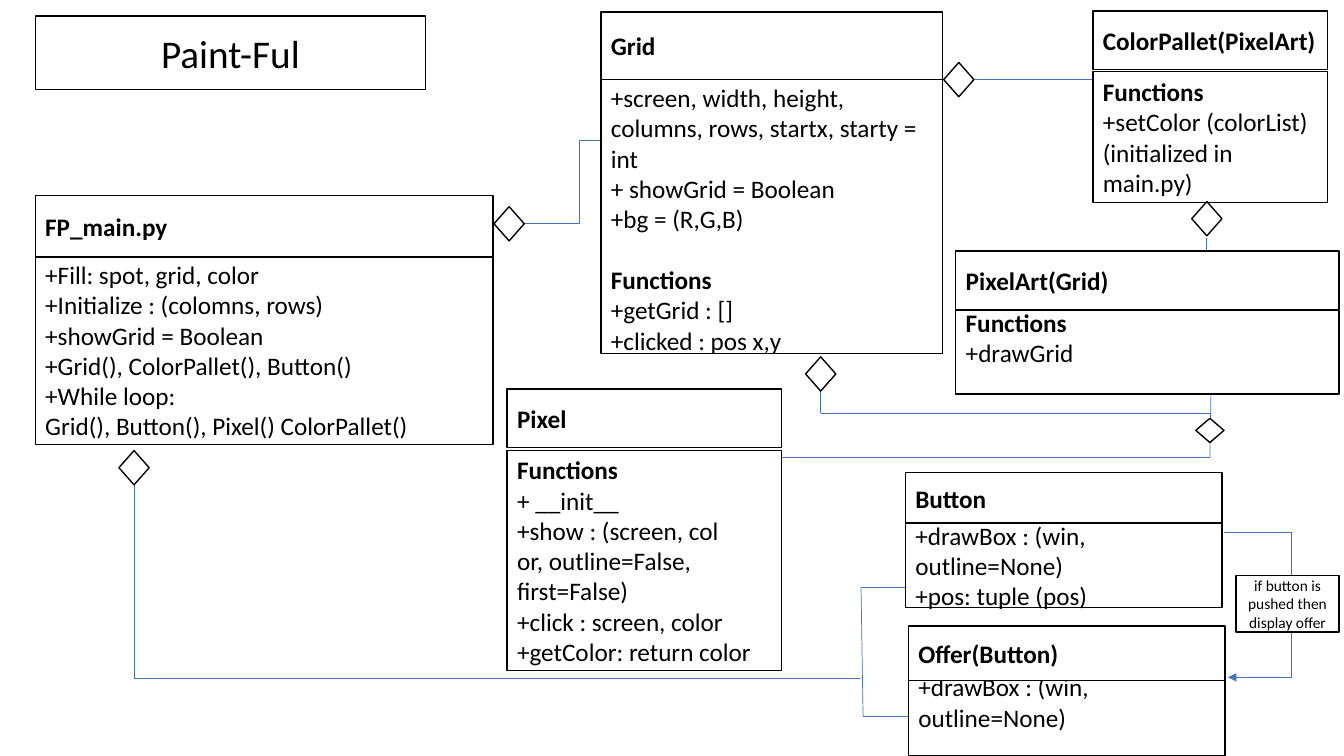
from lxml import etree
from pptx import Presentation
from pptx import util as u
from pptx.dml import color
from pptx.enum import shapes, text
from pptx.oxml import ns

COLORS = {"paper": "FFFFFF", "ink": "000000", "link": "4472C4"}
FONT = "Calibri"
BLANK_LINE = 0.3


def rgb(name):
    return color.RGBColor.from_string(COLORS[name])


def write(shape, lines, size=18, bold=False, align=text.PP_ALIGN.LEFT,
          blank_top=0, blank_bottom=0, gaps=()):
    """Fill a shape with lines; "Functions" is always a bold heading."""
    frame = shape.text_frame
    frame.word_wrap = True
    frame.auto_size = text.MSO_AUTO_SIZE.NONE
    frame.vertical_anchor = text.MSO_ANCHOR.MIDDLE
    frame.margin_left = frame.margin_right = u.Inches(0.1)
    frame.margin_top = u.Inches(0.05 + blank_top * BLANK_LINE)
    frame.margin_bottom = u.Inches(0.05 + blank_bottom * BLANK_LINE)
    for index, line in enumerate(lines):
        paragraph = frame.add_paragraph() if index else frame.paragraphs[0]
        paragraph.alignment = align
        paragraph.line_spacing = 1.0
        paragraph.space_before = u.Pt(22 if line in gaps else 0)
        run = paragraph.add_run()
        run.text = line
        run.font.name = FONT
        run.font.size = u.Pt(size)
        run.font.bold = bold or line == "Functions"
        run.font.color.rgb = rgb("ink")


class Diagram:
    def __init__(self, presentation):
        self.slide = presentation.slides.add_slide(presentation.slide_layouts[5])
        self.line_width = u.Pt(1)
        self.link_width = u.Pt(0.5)

    def outline(self, shape):
        shape.fill.solid()
        shape.fill.fore_color.rgb = rgb("paper")
        shape.line.color.rgb = rgb("ink")
        shape.line.width = self.line_width

    def title(self, left, top, width, height, words):
        shape = self.slide.shapes.title
        shape.left, shape.top = u.Inches(left), u.Inches(top)
        shape.width, shape.height = u.Inches(width), u.Inches(height)
        self.outline(shape)
        write(shape, [words], size=28, align=text.PP_ALIGN.CENTER)

    def shape(self, kind, left, top, width, height):
        shape = self.slide.shapes.add_shape(
            kind, u.Inches(left), u.Inches(top), u.Inches(width), u.Inches(height))
        shape.shadow.inherit = False
        self.outline(shape)
        return shape

    def box(self, left, top, width, height, lines, **style):
        shape = self.shape(shapes.MSO_SHAPE.RECTANGLE, left, top, width, height)
        write(shape, lines, **style)

    def class_box(self, name, left, width, header, body, lines, **style):
        """header and body are (top, height) pairs."""
        self.box(left, body[0], width, body[1], lines, **style)
        self.box(left, header[0], width, header[1], [name], bold=True)

    def diamond(self, left, top, width=0.3, height=0.34):
        self.shape(shapes.MSO_SHAPE.DIAMOND, left, top, width, height)

    def link(self, *points, arrow=False):
        """Join successive points; the last segment may carry an arrowhead."""
        for start, end in zip(points, points[1:]):
            connector = self.slide.shapes.add_connector(
                shapes.MSO_CONNECTOR.STRAIGHT, *map(u.Inches, start + end))
            connector.line.color.rgb = rgb("link")
            connector.line.width = self.link_width
            properties = connector._element.spPr
            etree.SubElement(properties, ns.qn("a:effectLst"))
        if arrow:
            etree.SubElement(properties.find(ns.qn("a:ln")),
                             ns.qn("a:tailEnd"), type="triangle")


presentation = Presentation()
presentation.slide_width = u.Inches(13.33)
presentation.slide_height = u.Inches(7.5)
diagram = Diagram(presentation)
diagram.title(0.35, 0.16, 3.87, 0.73, "Paint-Ful")

# Relations between classes
diagram.link((5.21, 2.22), (5.75, 2.22), (5.75, 1.39), (5.96, 1.39))
diagram.link((9.66, 0.79), (10.85, 0.79))
diagram.link((11.97, 2.5), (11.97, 2.36))
diagram.link((8.14, 3.88), (8.14, 4.1), (12.01, 4.1))
diagram.link((12.01, 3.92), (12, 4.54), (7.76, 4.54))
diagram.link((1.33, 4.81), (1.33, 6.73), (8.53, 6.73))
diagram.link((8.98, 5.83), (8.54, 5.83), (8.56, 7.11), (9.01, 7.11))
diagram.link((12.14, 5.28), (12.81, 5.28), (12.81, 6.72), (12.18, 6.72), arrow=True)

# Classes
diagram.class_box("FP_main.py", 0.35, 4.54, (1.94, 0.61), (2.54, 1.87), [
    "+Fill: spot, grid, color",
    "+Initialize : (colomns, rows)",
    "+showGrid = Boolean",
    "+Grid(), ColorPallet(), Button()",
    "+While loop:",
    "Grid(), Button(), Pixel() ColorPallet()"])
diagram.class_box("Grid", 5.96, 3.39, (0.12, 0.67), (0.53, 2.98), [
    "+screen, width, height, columns, rows, startx, starty = int",
    "+ showGrid = Boolean",
    "+bg = (R,G,B)",
    "Functions",
    "+getGrid : []",
    "+clicked : pos x,y"], blank_top=1, gaps=["Functions"])
diagram.class_box("ColorPallet(PixelArt)", 10.84, 2.33, (0.11, 0.58), (0.71, 1.3), [
    "Functions",
    "+setColor (colorList)",
    "(initialized in main.py)"])
diagram.class_box("PixelArt(Grid)", 9.48, 3.8, (2.49, 0.58), (3.08, 0.83), [
    "Functions",
    "+drawGrid"], blank_bottom=1)
diagram.class_box("Pixel", 5.03, 2.72, (3.86, 0.58), (4.47, 2.18), [
    "Functions",
    "+ __init__",
    "+show : (screen, col",
    "or, outline=False, first=False)",
    "+click : screen, color",
    "+getColor: return color"])
diagram.class_box("Button", 8.98, 3.14, (4.69, 0.5), (5.19, 0.84), [
    "+drawBox : (win, outline=None)",
    "+pos: tuple (pos)"])
diagram.class_box("Offer(Button)", 9.01, 3.14, (6.21, 0.54), (6.73, 0.77), [
    "+drawBox : (win, outline=None)"], blank_bottom=1)

# Aggregation diamonds
for left, top in [(4.9, 2.05), (1.18, 4.47), (9.36, 0.62), (11.82, 2), (7.99, 3.54)]:
    diagram.diamond(left, top)
diagram.diamond(11.86, 4.15, 0.28, 0.24)

# Condition on the arrow
diagram.box(12.26, 5.71, 1.02, 0.56, ["if button is pushed then display offer"],
            size=11, align=text.PP_ALIGN.CENTER)

presentation.save("out.pptx")
